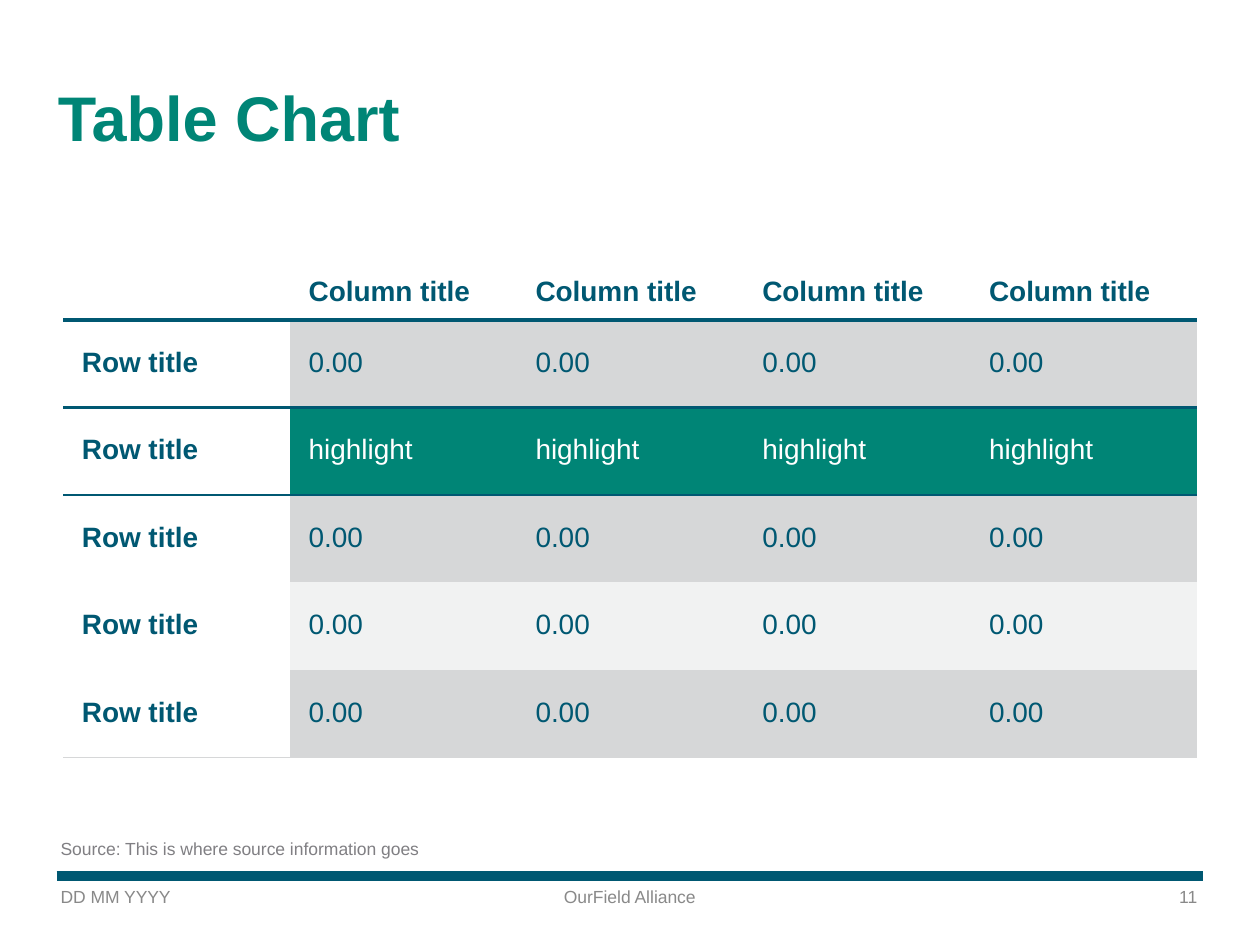
from lxml.etree import SubElement
from pptx import Presentation
from pptx.dml.color import RGBColor as Rgb
from pptx.enum.shapes import MSO_CONNECTOR as Connector
from pptx.enum.text import MSO_ANCHOR as Anchor, MSO_AUTO_SIZE as AutoSize, PP_ALIGN as Align
from pptx.oxml import parse_xml
from pptx.oxml.ns import nsdecls, qn
from pptx.util import Pt

COLORS = {
    "teal": "008576", "navy": "005872", "white": "FFFFFF", "gray": "D6D7D8",
    "pale": "F1F2F2", "footer": "898989", "source": "807F83",
}
PLAIN_TABLE = "{2D5ABB26-0587-4C30-8999-92F81FD0307C}"
COLUMNS = 4
# Row label, value, fill, text colour
ROWS = [
    ("Row title", "0.00", "gray", "navy"),
    ("Row title", "highlight", "teal", "white"),
    ("Row title", "0.00", "gray", "navy"),
    ("Row title", "0.00", "pale", "navy"),
    ("Row title", "0.00", "gray", "navy"),
]


def color(name):
    """Return a named colour."""
    return Rgb.from_string(COLORS[name])


def apply(target, values):
    """Set every attribute in a dict of format values."""
    for name, value in values.items():
        setattr(target, name, value)


def set_insets(target, across, down):
    """Set the margins of a text frame or a cell."""
    apply(target, {"margin_left": Pt(across), "margin_right": Pt(across),
                   "margin_top": Pt(down), "margin_bottom": Pt(down)})


def write(frame, text, size, tone, bold=False, **layout):
    """Fill a text frame with one formatted paragraph."""
    para = frame.paragraphs[0]
    apply(para, layout)
    if not text:
        para.font.size = Pt(size)
        return
    span = para.add_run()
    span.text = text
    apply(span.font, {"name": "Arial", "size": Pt(size), "bold": bold})
    span.font.color.rgb = color(tone)


def add_title(page, text):
    """Place and format the title placeholder."""
    title = page.shapes.title
    apply(title, {"left": Pt(29.5), "top": Pt(13.7), "width": Pt(663.8), "height": Pt(79.2)})
    frame = title.text_frame
    apply(frame, {"word_wrap": True, "auto_size": AutoSize.NONE, "vertical_anchor": Anchor.BOTTOM})
    set_insets(frame, 3.6, 3.6)
    write(frame, text, 36, "teal", True, alignment=Align.LEFT, line_spacing=0.95)


def add_note(page, text, left, top, width, tone, align=Align.LEFT):
    """Add a small line of text."""
    box = page.shapes.add_textbox(Pt(left), Pt(top), Pt(width), Pt(19.4))
    frame = box.text_frame
    apply(frame, {"word_wrap": True, "auto_size": AutoSize.SHAPE_TO_FIT_TEXT})
    set_insets(frame, 3.6, 3.6)
    write(frame, text, 10, tone, alignment=align)


def add_rule(page, left, right, y):
    """Add the thick rule above the footer."""
    rule = page.shapes.add_connector(Connector.STRAIGHT, Pt(left), Pt(y), Pt(right), Pt(y))
    rule.line.width = Pt(5.5)
    rule.line.color.rgb = color("navy")
    SubElement(rule._element.spPr, qn("a:effectLst"))


def set_border(cell, side, tone, width):
    """Draw one side (T or B) of a cell."""
    cell._tc.get_or_add_tcPr().insert(0, parse_xml(
        f'<a:ln{side} {nsdecls("a")} w="{Pt(width)}"><a:solidFill>'
        f'<a:srgbClr val="{COLORS[tone]}"/></a:solidFill></a:ln{side}>'))


def fill_cell(cell, text, tone="navy", bold=False, fill=None, header=False):
    """Write and format one table cell."""
    set_insets(cell, 10.8, 7.2)
    cell.vertical_anchor = Anchor.BOTTOM if header else Anchor.MIDDLE
    if fill:
        cell.fill.solid()
        cell.fill.fore_color.rgb = color(fill)
    else:
        cell.fill.background()
    spacing = {"line_spacing": 0.95} if header else {"line_spacing": 0.9, "space_after": Pt(3)}
    write(cell.text_frame, text, 16, tone, bold, **spacing)


def add_data_table(page):
    """Add the table with its header, rows and horizontal lines."""
    head_height, row_height = 36, 50
    frame = page.shapes.add_table(len(ROWS) + 1, COLUMNS + 1, Pt(36), Pt(146.9), Pt(648),
                                  Pt(head_height + row_height * len(ROWS)))
    table = frame.table
    apply(table, {"first_row": False, "horz_banding": False})
    table._tbl.tblPr.find(qn("a:tableStyleId")).text = PLAIN_TABLE
    for index, row in enumerate(table.rows):
        row.height = Pt(row_height if index else head_height)
    for column in range(COLUMNS + 1):
        fill_cell(table.cell(0, column), "Column title" if column else "", bold=True, header=True)
        for index, (label, value, fill, tone) in enumerate(ROWS, 1):
            cell = table.cell(index, column)
            if column:
                fill_cell(cell, value, tone, fill=fill)
            else:
                fill_cell(cell, label, bold=True)
        for index, tone, width in ((0, "navy", 2.25), (1, "navy", 1.5), (len(ROWS), "gray", 1)):
            set_border(table.cell(index, column), "B", tone, width)
            if index < len(ROWS):
                set_border(table.cell(index + 1, column), "T", tone, width)


def main():
    """Build and save the slide."""
    deck = Presentation()
    apply(deck, {"slide_width": Pt(720), "slide_height": Pt(540)})
    page = deck.slides.add_slide(deck.slide_layouts[5])
    add_rule(page, 32.4, 687.6, 500.4)
    footers = [("DD MM YYYY", 31, Align.LEFT), ("OurField Alliance", 271, Align.CENTER),
               ("11", 510, Align.RIGHT)]
    for text, left, align in footers:
        add_note(page, text, left, 502.6, 177.8, "footer", align)
    add_title(page, "Table Chart")
    add_data_table(page)
    add_note(page, "Source: This is where source information goes", 31, 475.2, 262, "source")
    deck.save("out.pptx")


main()
